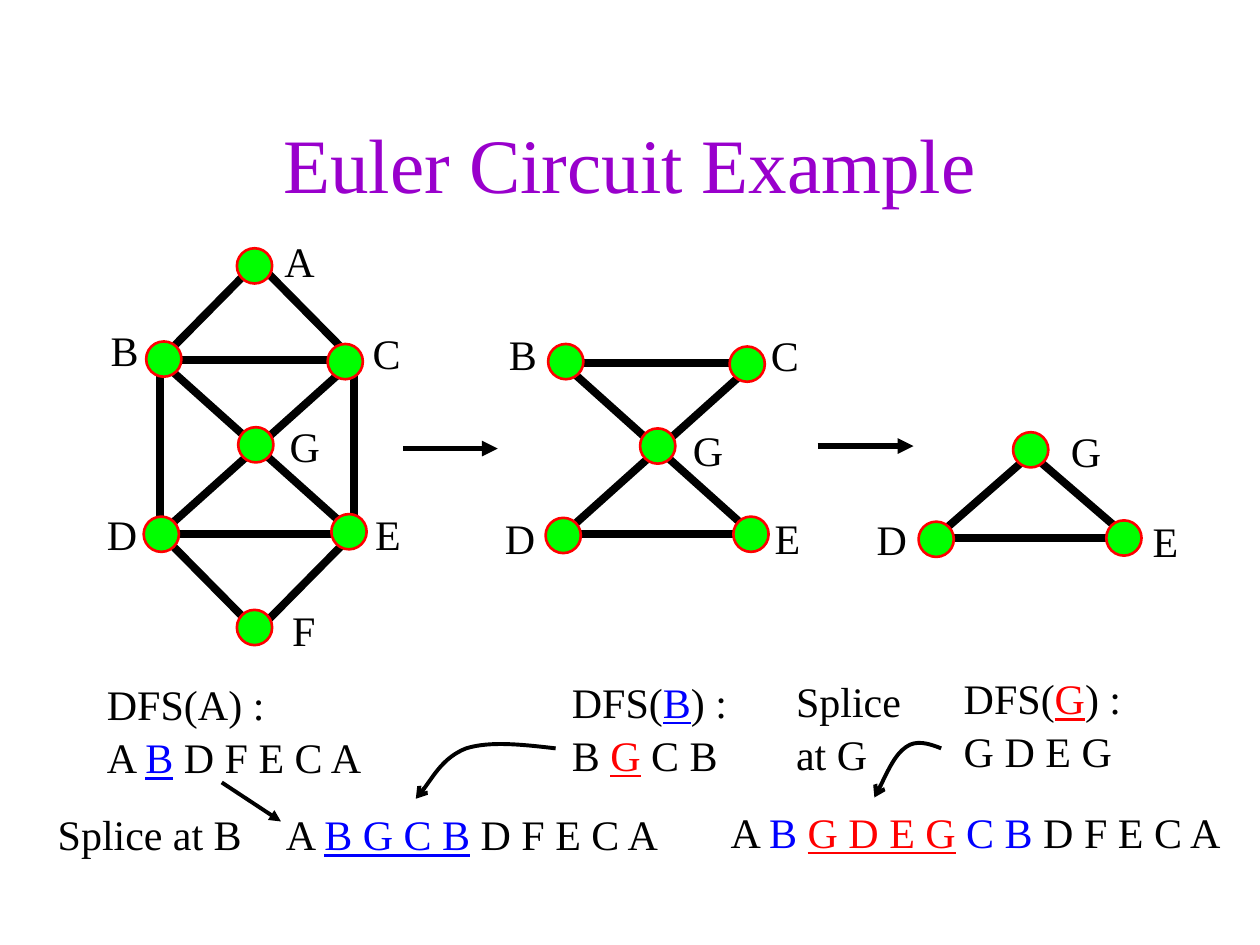
from lxml import etree
from pptx import Presentation
from pptx.dml.color import RGBColor
from pptx.enum.shapes import MSO_CONNECTOR, MSO_SHAPE
from pptx.enum.text import MSO_ANCHOR, PP_ALIGN
from pptx.oxml.ns import qn
from pptx.util import Inches, Pt

STRAIGHT = MSO_CONNECTOR.STRAIGHT
OVAL, RECT = MSO_SHAPE.OVAL, MSO_SHAPE.RECTANGLE
MIDDLE, CENTER = MSO_ANCHOR.MIDDLE, PP_ALIGN.CENTER
BLACK, BLUE, RED, GREEN, PURPLE = "000000", "0000FF", "FF0000", "00FF00", "9900CC"
FONT = "Times New Roman"
NODE = 0.28

prs = Presentation()
prs.slide_width, prs.slide_height = Inches(10), Inches(7.5)
s = prs.slides.add_slide(prs.slide_layouts[5])


def set_line(sp, width, color=BLACK, arrow=None):
    sp.line.color.rgb = RGBColor.from_string(color)
    sp.line.width = Pt(width)
    if arrow:
        etree.SubElement(sp.line._get_or_add_ln(), qn("a:tailEnd"), type=arrow)
    if sp._element.spPr.find(qn("a:effectLst")) is None:
        etree.SubElement(sp._element.spPr, qn("a:effectLst"))


def add_text(box, paragraphs, wrap=False):
    """Each paragraph is a list of (text, color, underlined) runs."""
    tf = s.shapes.add_textbox(*map(Inches, box)).text_frame
    tf.word_wrap = wrap
    for i, runs in enumerate(paragraphs):
        p = tf.paragraphs[0] if i == 0 else tf.add_paragraph()
        p.line_spacing = 1.05
        for text, color, underlined in runs:
            r = p.add_run()
            r.text = text
            r.font.color.rgb = RGBColor.from_string(color)
            for name, value in {"name": FONT, "size": Pt(24), "underline": underlined}.items():
                setattr(r.font, name, value)


# Title
title = s.shapes.title
for name, value in {"left": 0.75, "top": 0.67, "width": 8.5, "height": 1.25}.items():
    setattr(title, name, Inches(value))
tf = title.text_frame
tf.text = "Euler Circuit Example"
tf.vertical_anchor = MIDDLE
p = tf.paragraphs[0]
p.alignment = CENTER
p.font.name, p.font.size = FONT, Pt(44)
p.font.color.rgb = RGBColor.from_string(PURPLE)

# Outer square B-C-E-D of the first graph
sp = s.shapes.add_shape(RECT, *map(Inches, (1.27, 2.86, 1.54, 1.38)))
sp.fill.background()
set_line(sp, 4.5)

# Graphs: edges as x1, y1, x2, y2; nodes as name, centre, label corner
graphs = [
    ([(1.27, 4.23, 2.04, 5.01), (2.81, 4.23, 2.04, 5.01), (1.27, 2.86, 2.81, 4.24),
      (1.27, 4.24, 2.81, 2.86), (1.27, 2.86, 2.04, 2.08), (2.81, 2.86, 2.04, 2.08)],
     [("A", 2.02, 2.11, 2.16, 1.8), ("B", 1.3, 2.85, 0.78, 2.51),
      ("C", 2.74, 2.87, 2.86, 2.53), ("D", 1.28, 4.24, 0.75, 3.97),
      ("E", 2.77, 4.22, 2.88, 3.97), ("F", 2.02, 4.98, 2.22, 4.73),
      ("G", 2.03, 3.53, 2.2, 3.27)]),
    ([(4.48, 2.88, 5.94, 2.88), (4.48, 4.24, 5.94, 4.24),
      (4.45, 2.87, 6, 4.26), (4.45, 4.26, 6, 2.87)],
     [("B", 4.49, 2.87, 3.94, 2.54), ("C", 5.93, 2.89, 6.02, 2.55),
      ("D", 4.47, 4.25, 3.91, 4), ("E", 5.96, 4.24, 6.05, 4),
      ("G", 5.22, 3.54, 5.4, 3.3)]),
    ([(7.44, 4.27, 8.97, 4.27), (7.41, 4.28, 8.21, 3.58), (8.18, 3.6, 8.98, 4.29)],
     [("D", 7.43, 4.28, 6.86, 4.01), ("E", 8.92, 4.27, 9.05, 4.02),
      ("G", 8.18, 3.57, 8.4, 3.31)]),
]
for edges, nodes in graphs:
    for edge in edges:
        set_line(s.shapes.add_connector(STRAIGHT, *map(Inches, edge)), 4.5)
    for name, x, y, label_x, label_y in nodes:
        sp = s.shapes.add_shape(OVAL, Inches(x - NODE / 2), Inches(y - NODE / 2),
                                Inches(NODE), Inches(NODE))
        sp.fill.solid()
        sp.fill.fore_color.rgb = RGBColor.from_string(GREEN)
        set_line(sp, 1.5, RED)
        add_text((label_x, label_y, 0.44, 0.5), [[(name, BLACK, False)]], wrap=True)

# Straight arrows between the graphs and to the first splice
for ends, width in [((3.2, 3.56, 3.95, 3.56), 3), ((6.49, 3.54, 7.25, 3.54), 3),
                    ((1.76, 6.21, 2.23, 6.52), 2.25)]:
    set_line(s.shapes.add_connector(STRAIGHT, *map(Inches, ends)), width, arrow="triangle")

# Curved arrows: every three points after the start make one Bezier segment
curves = [
    [(4.41, 5.94), (4.15, 5.91), (3.89, 5.88), (3.7, 5.94), (3.52, 6.01), (3.37, 6.27), (3.3, 6.34)],
    [(7.47, 5.94), (7.37, 5.9), (7.27, 5.87), (7.19, 5.93), (7.1, 5.99), (6.98, 6.26), (6.94, 6.33)],
]
for points in curves:
    start, *rest = [(Inches(x), Inches(y)) for x, y in points]
    builder = s.shapes.build_freeform(*start)
    builder.add_line_segments(rest, close=False)
    sp = builder.convert_to_shape()
    sp.fill.background()
    set_line(sp, 2.25, arrow="arrow")
    segments = list(sp._element.iter(qn("a:lnTo")))
    outline = segments[0].getparent()
    for i in range(0, len(segments), 3):
        bezier = etree.SubElement(outline, qn("a:cubicBezTo"))
        for segment in segments[i:i + 3]:
            bezier.append(segment[0])
            outline.remove(segment)

# Traversals and spliced circuits
add_text((0.75, 5.32, 2.25, 0.9), [
    [("DFS(A) :", BLACK, False)],
    [("A ", BLACK, False), ("B", BLUE, True), (" D F E C A", BLACK, False)]])
add_text((4.44, 5.3, 1.43, 0.9), [
    [("DFS(", BLACK, False), ("B", BLUE, True), (") :", BLACK, False)],
    [("B ", BLACK, False), ("G", RED, True), (" C B", BLACK, False)]])
add_text((7.55, 5.27, 1.45, 0.9), [
    [("DFS(", BLACK, False), ("G", RED, True), (") :", BLACK, False)],
    [("G D E G", BLACK, False)]])
add_text((2.17, 6.35, 3.19, 0.5), [
    [("A ", BLACK, False), ("B G C B", BLUE, True), (" D F E C A", BLACK, False)]])
add_text((5.7, 6.33, 4.12, 0.5), [
    [("A ", BLACK, False), ("B ", BLUE, False), ("G D E G", RED, True),
     (" ", BLACK, False), ("C B", BLUE, False), (" D F E C A", BLACK, False)]])
add_text((0.36, 6.35, 1.66, 0.5), [[("Splice at B", BLACK, False)]])
add_text((6.22, 5.29, 1.11, 0.9), [[("Splice", BLACK, False)], [("at G", BLACK, False)]])

prs.save("out.pptx")
